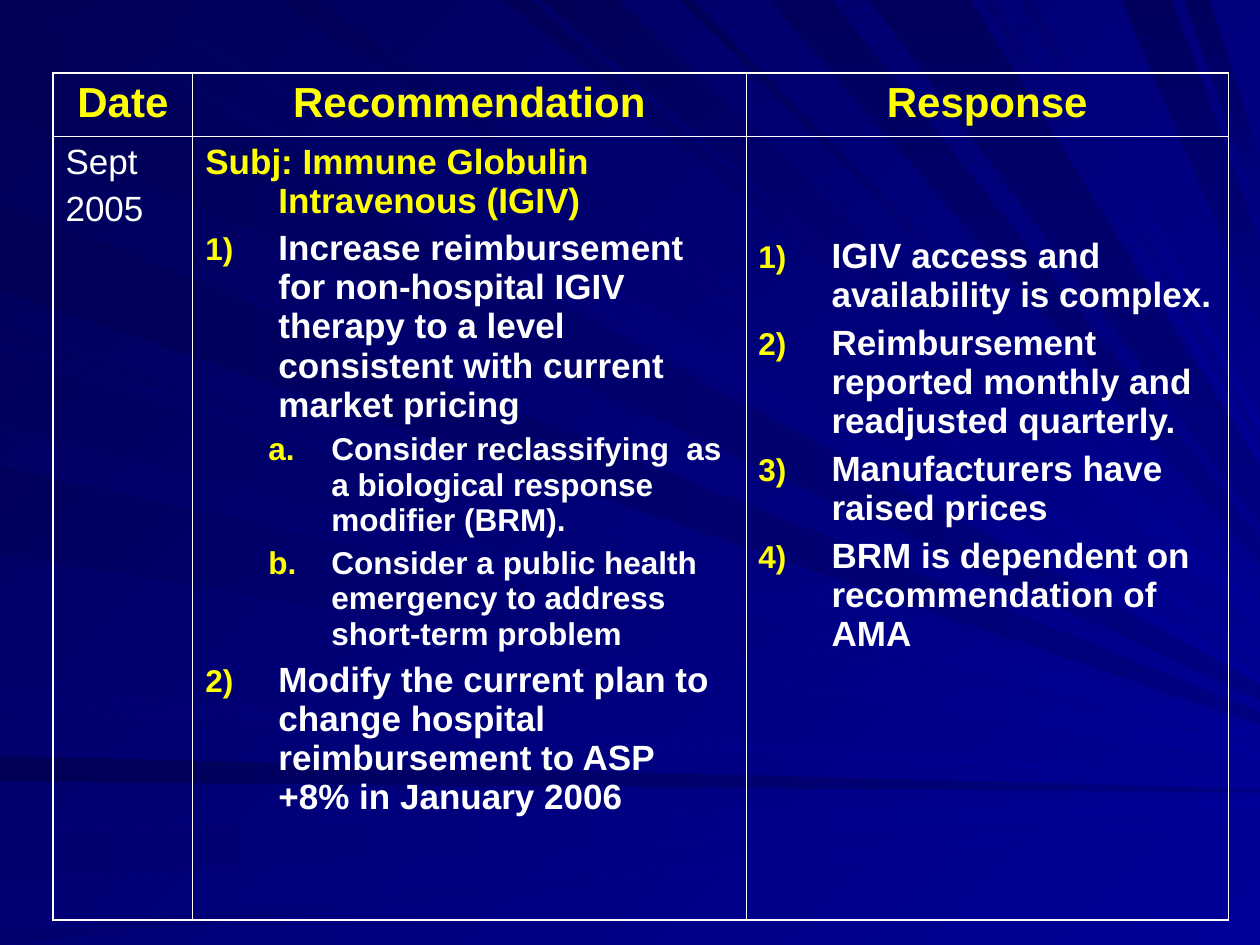
"""Build the slide on immune globulin recommendations and responses."""
from dataclasses import dataclass
from typing import NamedTuple

from lxml import etree
from pptx import Presentation
from pptx.dml.color import RGBColor
from pptx.dml.fill import FillFormat
from pptx.enum.text import PP_ALIGN
from pptx.oxml.ns import qn
from pptx.util import Inches, Pt

LEFT, CENTER = PP_ALIGN.LEFT, PP_ALIGN.CENTER
WIDTH, HEIGHT = 10, 7.5
HUB_X, HUB_Y = 11.6, 6.3
UNITS_PER_INCH = 100
COLUMNS = (1.11, 4.39, 3.83)
ROWS = (0.5, 6.22)
TABLE_LEFT, TABLE_TOP = 0.42, 0.58
RESPONSE_INSET = 0.8


@dataclass(frozen=True)
class Theme:
    font: str = "Arial"
    heading: str = "FFFF00"
    text: str = "FFFFFF"
    bright: str = "000099"
    medium: str = "000080"
    dim: str = "00006E"
    dusk: str = "00005C"
    deep: str = "000057"
    heading_size: float = 24
    body_size: float = 20
    detail_size: float = 18
    outer_line: float = 1.08
    inner_line: float = 0.45


THEME = Theme()


class Fan(NamedTuple):
    from_top: bool
    start: str
    end: str
    angle: int
    spans: tuple[tuple[float, float], ...]


class Style(NamedTuple):
    size: float = THEME.body_size
    color: str = THEME.text
    bold: bool = True
    align: PP_ALIGN = LEFT
    margin: float = 0
    hang: float = 0
    level: int = 0
    before: float = 5
    numbering: str = ""
    number_share: int = 100


class Entry(NamedTuple):
    text: str
    style: Style


HEADER = Style(size=THEME.heading_size, color=THEME.heading, align=CENTER)
DATE = Style(bold=False)
SUBJECT = Style(color=THEME.heading, margin=0.58, hang=0.58)
POINT = Style(margin=0.58, hang=0.58, numbering="arabicParenR", number_share=90)
DETAIL = Style(size=THEME.detail_size, margin=1, hang=0.5, level=1, before=4.5,
               numbering="alphaLcPeriod")

CONTENT = (
    tuple((Entry(name, HEADER),) for name in ("Date", "Recommendation", "Response")),
    (
        (Entry("Sept", DATE), Entry("2005", DATE)),
        (
            Entry("Subj: Immune Globulin Intravenous (IGIV)", SUBJECT),
            Entry("Increase reimbursement for non-hospital IGIV therapy to a level "
                  "consistent with current market pricing", POINT),
            Entry("Consider reclassifying  as a biological response modifier (BRM).", DETAIL),
            Entry("Consider a public health emergency to address short-term problem", DETAIL),
            Entry("Modify the current plan to change hospital reimbursement to ASP "
                  "+8% in January 2006", POINT),
        ),
        (
            Entry("IGIV access and availability is complex.", POINT),
            Entry("Reimbursement reported monthly and readjusted quarterly.", POINT),
            Entry("Manufacturers have raised prices", POINT),
            Entry("BRM is dependent on recommendation of AMA", POINT),
        ),
    ),
)

FANS = (
    Fan(False, THEME.medium, THEME.deep, 180, ((0, 0.9), (1.6, 2.3), (6, 6.2))),
    Fan(False, THEME.bright, THEME.dim, 180, ((5.5, 5.6), (6.6, 7), (7.4, 7.5))),
    Fan(True, THEME.bright, THEME.deep, 225,
        ((0.3, 1), (2.2, 2.5), (4, 4.2), (4.3, 4.9), (5.4, 5.5))),
    Fan(True, THEME.dusk, THEME.medium, 90, ((6.1, 6.6), (6.9, 7.7), (8.9, 9.3), (9.4, 9.6))),
    Fan(False, THEME.bright, THEME.dusk, 225, ((2.6, 2.7), (2.8, 3.4), (3.7, 4.4))),
    Fan(True, THEME.bright, THEME.dim, 225, ((7.8, 7.9), (8.1, 8.2))),
)


def paint(fill: FillFormat, start: str, end: str, clockwise: int) -> None:
    fill.gradient()
    fill.gradient_angle = 360 - clockwise
    for stop, color in zip(fill.gradient_stops, (start, end)):
        stop.color.rgb = RGBColor.from_string(color)


def right_edge(x: float, y: float) -> tuple[float, float]:
    return WIDTH, y + (HUB_Y - y) * (WIDTH - x) / (HUB_X - x)


def draw_fan(shapes, fan: Fan) -> None:
    for span in fan.spans:
        near, far = [(place, 0) if fan.from_top else (0, place) for place in span]
        outline = (near, right_edge(*near), right_edge(*far), far)
        first, *rest = [tuple(round(value * UNITS_PER_INCH) for value in point)
                        for point in outline]
        builder = shapes.build_freeform(*first, scale=Inches(1) / UNITS_PER_INCH)
        builder.add_line_segments(rest, close=True)
        ray = builder.convert_to_shape()
        ray.shadow.inherit = False
        ray.line.fill.background()
        paint(ray.fill, fan.start, fan.end, fan.angle)


def write(paragraph, text: str, *, size: float, color: str, bold: bool, align: PP_ALIGN,
          margin: float, hang: float, level: int, before: float, numbering: str,
          number_share: int) -> None:
    properties = paragraph._p.get_or_add_pPr()
    properties.set("marL", str(Inches(margin)))
    properties.set("indent", str(-Inches(hang)))
    if numbering:
        tint = etree.SubElement(properties, qn("a:buClr"))
        etree.SubElement(tint, qn("a:srgbClr"), val=THEME.heading)
        etree.SubElement(properties, qn("a:buSzPct"), val=str(number_share * 1000))
        etree.SubElement(properties, qn("a:buFont"), typeface=THEME.font)
        etree.SubElement(properties, qn("a:buAutoNum"), type=numbering)
    paragraph.level, paragraph.alignment = level, align
    paragraph.space_before = Pt(before)
    run = paragraph.add_run()
    run.text = text
    run.font.name, run.font.size, run.font.bold = THEME.font, Pt(size), bold
    run.font.color.rgb = RGBColor.from_string(color)


def draw_borders(cell, outer_sides: dict[str, bool]) -> None:
    properties = cell._tc.get_or_add_tcPr()
    for side, outer in outer_sides.items():
        width = Pt(THEME.outer_line if outer else THEME.inner_line)
        border = etree.SubElement(properties, qn(f"a:ln{side}"), w=str(width))
        stroke = etree.SubElement(border, qn("a:solidFill"))
        etree.SubElement(stroke, qn("a:srgbClr"), val=THEME.text)


def fill_cell(cell, entries: tuple[Entry, ...]) -> None:
    frame = cell.text_frame
    for index, (text, style) in enumerate(entries):
        paragraph = frame.add_paragraph() if index else frame.paragraphs[0]
        write(paragraph, text, **style._replace(before=style.before if index else 0)._asdict())


def draw_table(shapes) -> None:
    table = shapes.add_table(len(ROWS), len(COLUMNS), Inches(TABLE_LEFT), Inches(TABLE_TOP),
                             Inches(sum(COLUMNS)), Inches(sum(ROWS))).table
    table.first_row = table.horz_banding = False
    for column, width in zip(table.columns, COLUMNS):
        column.width = Inches(width)
    for r, height in enumerate(ROWS):
        table.rows[r].height = Inches(height)
        for c, entries in enumerate(CONTENT[r]):
            cell = table.cell(r, c)
            draw_borders(cell, {"L": c == 0, "R": c == len(COLUMNS) - 1,
                                "T": r == 0, "B": r == len(ROWS) - 1})
            cell.fill.background()
            fill_cell(cell, entries)
    table.cell(len(ROWS) - 1, len(COLUMNS) - 1).margin_top = Inches(RESPONSE_INSET)


def main() -> None:
    deck = Presentation()
    deck.slide_width, deck.slide_height = Inches(WIDTH), Inches(HEIGHT)
    slide = deck.slides.add_slide(deck.slide_layouts.get_by_name("Blank"))
    paint(slide.background.fill, THEME.bright, THEME.deep, 225)
    rays = slide.shapes.add_group_shape().shapes
    for fan in FANS:
        draw_fan(rays, fan)
    draw_table(slide.shapes)
    deck.save("out.pptx")


if __name__ == "__main__":
    main()
